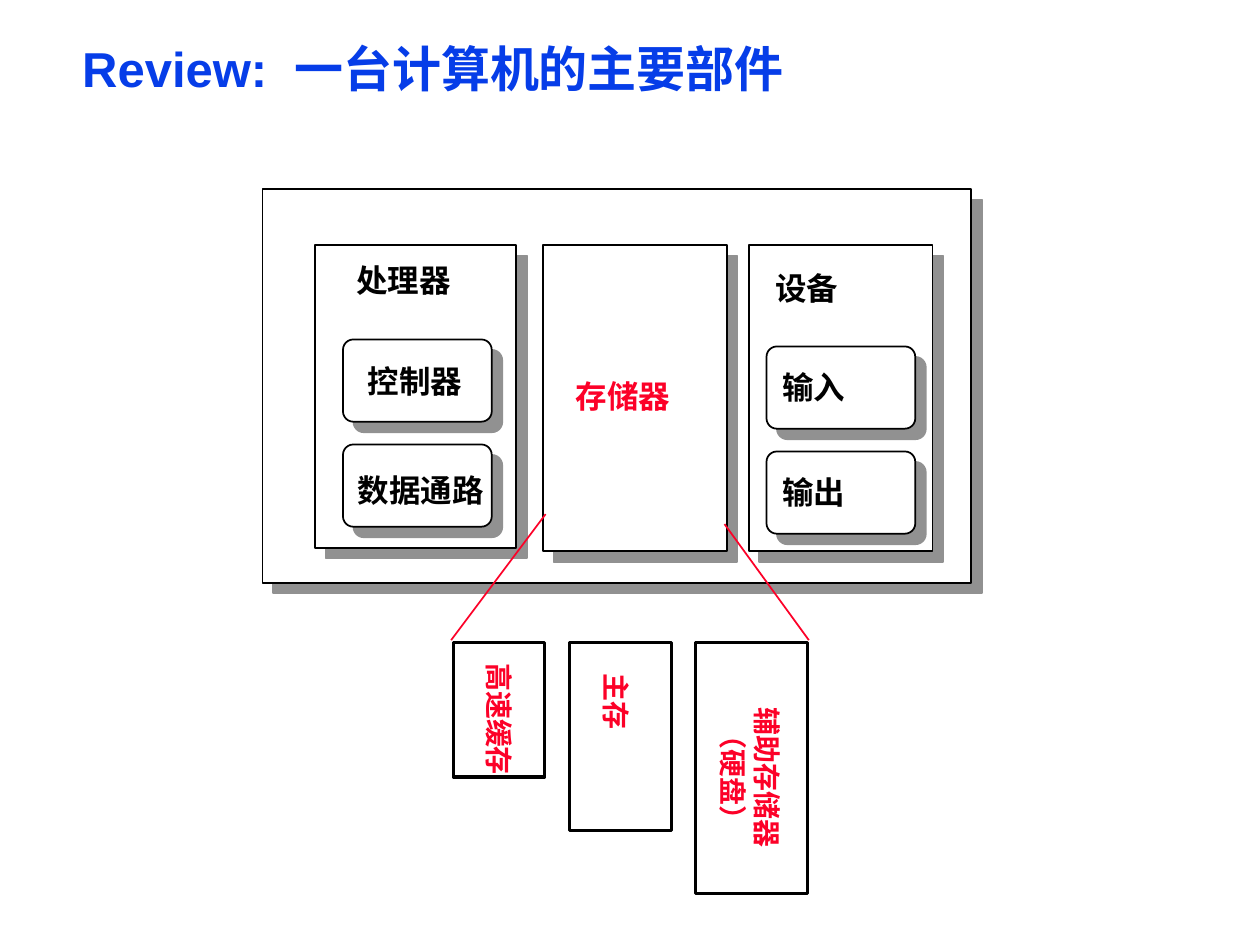
"""Draw the main parts of a computer and its levels of memory."""
from dataclasses import dataclass

from lxml.etree import SubElement
from pptx import Presentation
from pptx.dml.color import RGBColor
from pptx.enum.shapes import MSO_CONNECTOR as Link, MSO_SHAPE as Kind
from pptx.enum.text import MSO_ANCHOR as Anchor, MSO_AUTO_SIZE as Fit, PP_ALIGN as Align
from pptx.oxml.ns import qn
from pptx.util import Pt

BLACK, WHITE, RED, BLUE, GRAY = "000000", "FFFFFF", "FC0128", "063DE8", "919191"
TOP = 140
BASE = 367.2


@dataclass
class Box:
    x: float
    y: float
    w: float
    h: float
    kind: Kind = Kind.RECTANGLE


@dataclass
class Label:
    text: str
    x: float
    y: float
    w: float
    color: str = BLACK


@dataclass
class Level:
    box: Box
    text: str
    place: tuple
    wrap: bool = True
    align: Align = Align.LEFT


def paint(fmt, color: str) -> None:
    """Give a fill or font colour format a hex colour."""
    fmt.rgb = RGBColor.from_string(color)


def apply(item, values: dict) -> None:
    """Set each named attribute of an item."""
    for name, value in values.items():
        setattr(item, name, value)


def effects(shape, shade: bool = False) -> None:
    """Give a shape its own effects, with a hard shadow if asked."""
    node = SubElement(shape._element.spPr, qn("a:effectLst"))
    if shade:
        cast = SubElement(node, qn("a:outerShdw"), dist=str(Pt(8.5)), dir="2700000",
                          algn="ctr", rotWithShape="0")
        SubElement(cast, qn("a:srgbClr"), val=GRAY)


def write(shape, text: str, size: float, color: str, pad: tuple, space: float = 1,
          wrap: bool = False, align: Align = Align.LEFT) -> None:
    """Fill a text frame with bold paragraphs, one a line."""
    frame = shape.text_frame
    side, edge = (Pt(n) for n in pad)
    apply(frame, {"text": text, "word_wrap": wrap, "auto_size": Fit.SHAPE_TO_FIT_TEXT,
                  "vertical_anchor": Anchor.TOP, "margin_left": side, "margin_right": side,
                  "margin_top": edge, "margin_bottom": edge})
    for para in frame.paragraphs:
        apply(para, {"alignment": align, "line_spacing": space})
        for run in para.runs:
            apply(run.font, {"name": "Arial", "size": Pt(size), "bold": True})
            paint(run.font.color, color)


def draw_box(slide, box: Box, width: float = 1, solid: bool = True):
    """Draw an outlined box; a solid one is white and casts a shadow."""
    shape = slide.shapes.add_shape(box.kind, Pt(box.x), Pt(box.y), Pt(box.w), Pt(box.h))
    if box.kind == Kind.ROUNDED_RECTANGLE:
        shape.adjustments[0] = 0.125
    if solid:
        shape.fill.solid()
        paint(shape.fill.fore_color, WHITE)
    else:
        shape.fill.background()
    paint(shape.line.color, BLACK)
    shape.line.width = Pt(width)
    effects(shape, solid)


def draw_label(slide, tag: Label) -> None:
    """Write the name of a part."""
    shape = slide.shapes.add_textbox(Pt(tag.x), Pt(tag.y), Pt(tag.w), Pt(22.3))
    write(shape, tag.text, 18, tag.color, (5, 2.5), 0.85)


def draw_level(slide, level: Level) -> None:
    """Draw a level of memory with its turned name."""
    draw_box(slide, level.box, 2, False)
    shape = slide.shapes.add_textbox(*(Pt(n) for n in level.place))
    shape.rotation = 90
    write(shape, level.text, 16, RED, (7.2, 3.6), wrap=level.wrap, align=level.align)


def draw_line(slide, ends: tuple) -> None:
    """Draw a red line between two points."""
    line = slide.shapes.add_connector(Link.STRAIGHT, *(Pt(n) for n in ends))
    paint(line.line.color, RED)
    line.line.width = Pt(1)
    effects(line)


def main() -> None:
    """Build and save the slide."""
    deck = Presentation()
    apply(deck, {"slide_width": Pt(720), "slide_height": Pt(540)})
    slide = deck.slides.add_slide(deck.slide_layouts[5])
    title = slide.shapes.title
    apply(title, {"left": Pt(42), "top": Pt(24), "width": Pt(427.5), "height": Pt(34)})
    write(title, "Review:  一台计算机的主要部件", 28, BLUE, (5, 2.5), 0.87)

    boxes = [Box(150, 108, 405, 225), Box(180, TOP, 115, 173),
             Box(310.3, TOP, 105, 175), Box(427.9, TOP, 105, 175)]
    boxes += [Box(x, y + step, 85, 47, Kind.ROUNDED_RECTANGLE)
              for x, y in ((196, 194), (438, 198)) for step in (0, 60)]
    for box in boxes:
        draw_box(slide, box)

    for tag in (
        Label(" 处理器", 194.4, 149.8, 70),
        Label("控制器", 205.2, 207.4, 65),
        Label("数据通路", 199.4, 270, 83),
        Label("存储器", 324, 216, 65, RED),
        Label("设备", 438, 154.8, 47),
        Label("输入", 442, 211, 47),
        Label("输出", 442, 271, 47),
    ):
        draw_label(slide, tag)

    for level in (
        Level(Box(259.2, BASE, 52, 77), "高速缓存", (245.5, 398.2, 79.2, 26.6), False),
        Level(Box(325.5, BASE, 58.3, 107.3), "主存", (307.4, 409.7, 90, 26.6)),
        Level(Box(397.5, BASE, 64, 143.3), "辅助存储器\n（硬盘）",
              (368.6, 421.2, 120.2, 46), align=Align.CENTER),
    ):
        draw_level(slide, level)

    for ends in ((311.8, 293.8, 257.8, 365.8), (414, 299.5, 462.2, 365.8)):
        draw_line(slide, ends)
    deck.save("out.pptx")


if __name__ == "__main__":
    main()
